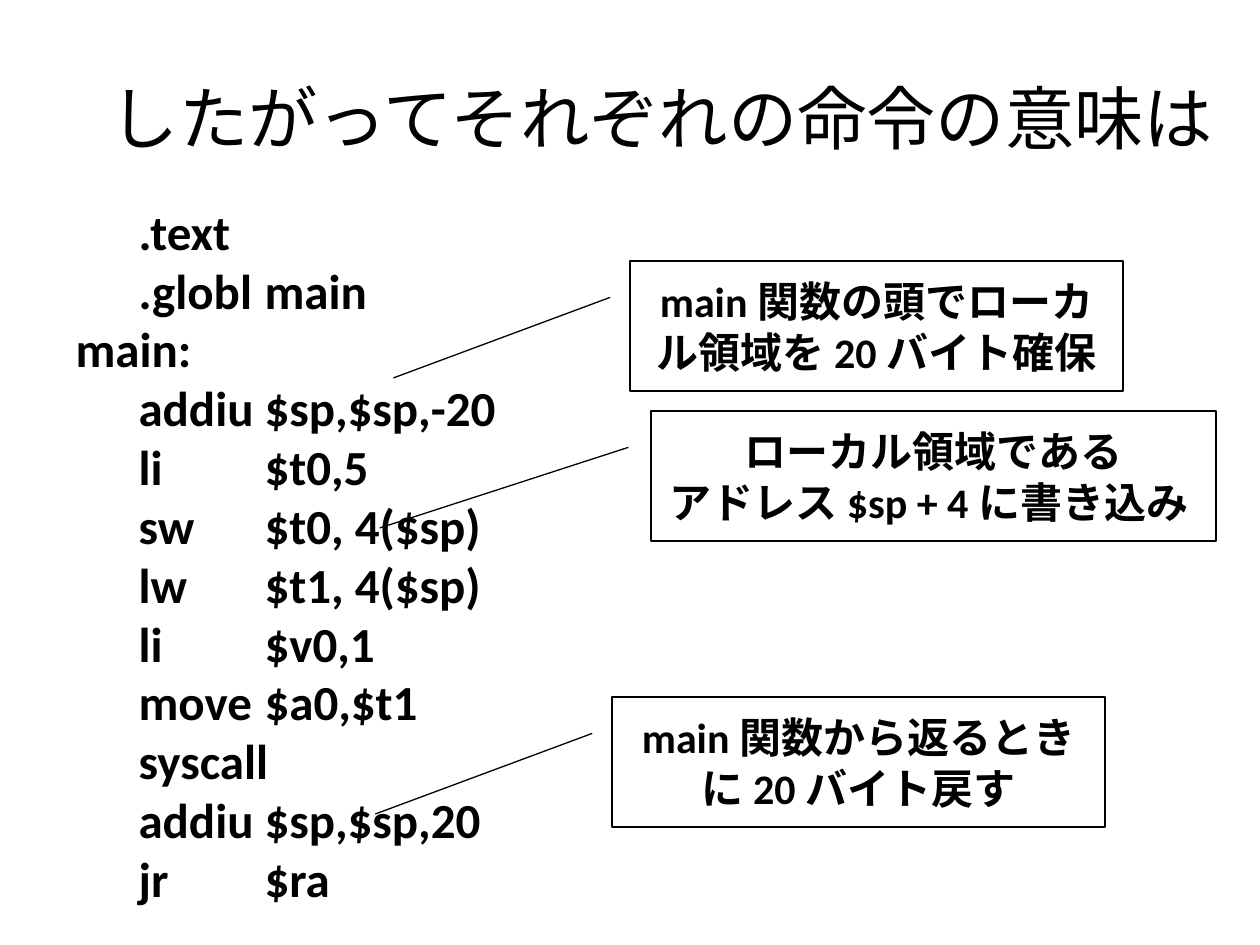
from pptx import Presentation
from pptx.dml.color import RGBColor
from pptx.enum.lang import MSO_LANGUAGE_ID
from pptx.enum.shapes import MSO_SHAPE
from pptx.enum.text import MSO_ANCHOR, MSO_AUTO_SIZE, PP_ALIGN
from pptx.oxml import parse_xml
from pptx.oxml.ns import nsdecls
from pptx.util import Pt

SCALE = 914400 / 126
COLORS = {"ink": "000000"}
FONT = "Calibri"


def px(n):
    return round(n * SCALE)


def write(shape, text, size=24, bold=True, align=PP_ALIGN.CENTER,
          anchor=MSO_ANCHOR.MIDDLE):
    frame = shape.text_frame
    frame.text = text
    frame.word_wrap = True
    frame.auto_size = MSO_AUTO_SIZE.NONE
    frame.vertical_anchor = anchor
    for para in frame.paragraphs:
        para.alignment = align
        para.space_before = Pt(0)
        for run in para.runs:
            font = run.font
            font.name, font.size, font.bold = FONT, Pt(size), bold
            font.color.rgb = RGBColor.from_string(COLORS["ink"])
            font.language_id = MSO_LANGUAGE_ID.JAPANESE


deck = Presentation()
deck.slide_width, deck.slide_height = px(1260), px(945)
slide = deck.slides.add_slide(deck.slide_layouts[1])

# Title
title = slide.shapes.title
title.left, title.top, title.width, title.height = map(px, (63, 38, 1197, 157))
write(title, "したがってそれぞれの命令の意味は", size=39.6, bold=False)

# Assembly code, aligned on half-inch tab stops
code = slide.placeholders[1]
code.left, code.top, code.width, code.height = map(px, (63, 195, 737, 726))
lines = [
    "\t.text",
    "\t.globl\tmain",
    "main:",
    "\taddiu\t$sp,$sp,-20",
    "\tli\t\t$t0,5",
    "\tsw\t\t$t0, 4($sp)",
    "\tlw\t\t$t1, 4($sp)",
    "\tli\t\t$v0,1",
    "\tmove\t$a0,$t1",
    "\tsyscall",
    "\taddiu\t$sp,$sp,20",
    "\tjr\t\t$ra",
]
write(code, "\n".join(lines), size=28, align=PP_ALIGN.LEFT,
      anchor=MSO_ANCHOR.TOP)
stops = "".join(f'<a:tab pos="{px(63 * i)}" algn="l"/>' for i in (1, 2, 3))
for para in code.text_frame.paragraphs:
    props = para._p.get_or_add_pPr()
    props.set("marL", "0")
    props.set("indent", "0")
    props.append(parse_xml(f'<a:buNone {nsdecls("a")}/>'))
    props.append(parse_xml(f'<a:tabLst {nsdecls("a")}>{stops}</a:tabLst>'))

# Callouts: left, top, width, text
notes = [
    (630, 261, 493, "main 関数の頭でローカル領域を 20 バイト確保"),
    (651, 411, 565, "ローカル領域である\vアドレス $sp + 4 に書き込み "),
    (612, 697, 493, "main 関数から返るときに 20 バイト戻す"),
]
for left, top, width, text in notes:
    note = slide.shapes.add_shape(MSO_SHAPE.LINE_CALLOUT_1, px(left), px(top),
                                  px(width), px(130))
    for i, value in enumerate((0.28, -0.04, 0.9, -0.48)):
        note.adjustments[i] = value
    note.shadow.inherit = False
    note.fill.background()
    note.line.color.rgb = RGBColor.from_string(COLORS["ink"])
    note.line.width = Pt(0.75)
    write(note, text)

deck.save("out.pptx")
